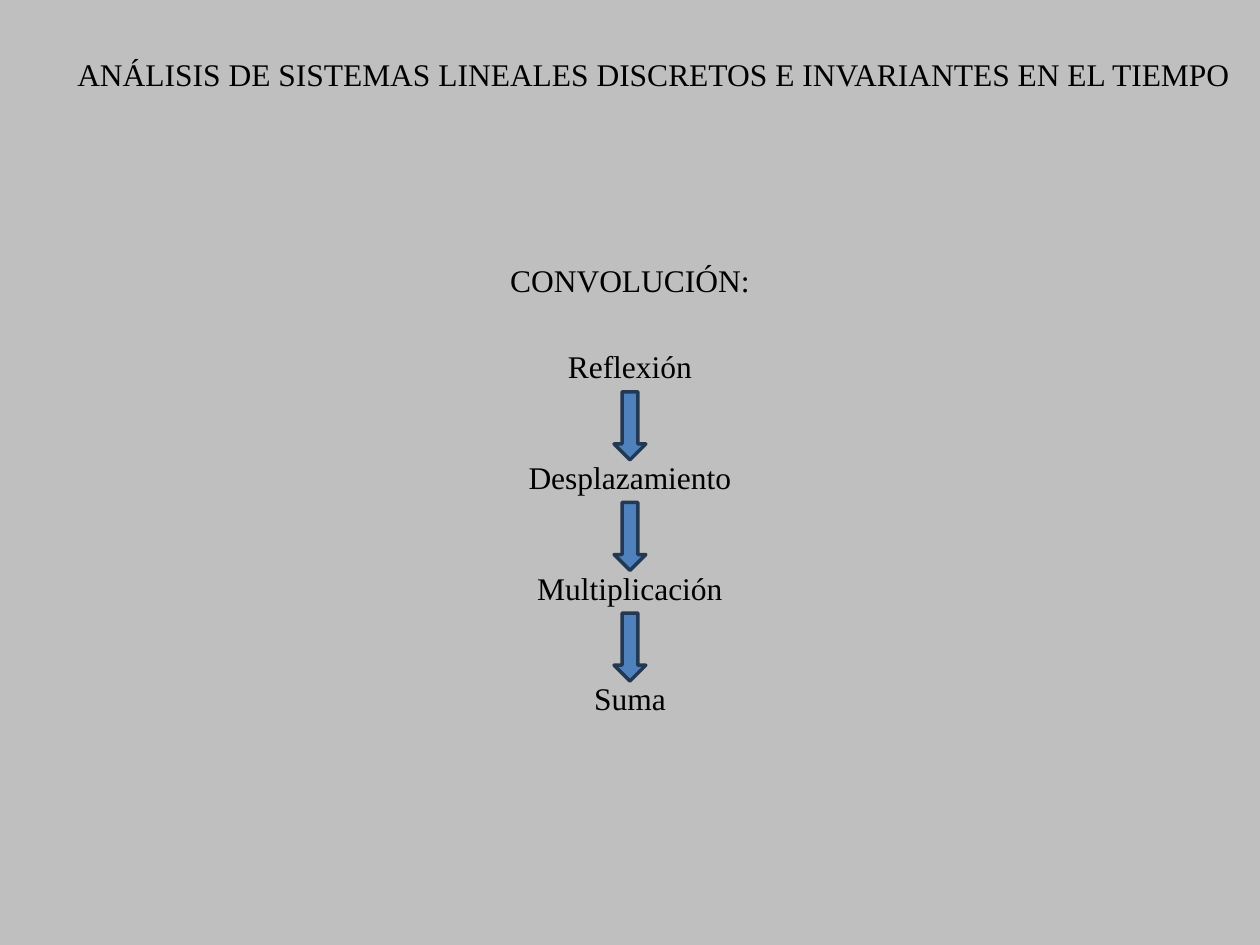
"""Build a slide listing the four steps of discrete convolution, joined by arrows."""
from pptx import Presentation
from pptx.dml.color import RGBColor
from pptx.enum.shapes import MSO_SHAPE
from pptx.enum.text import MSO_AUTO_SIZE, PP_ALIGN
from pptx.util import Cm, Pt

BACKGROUND = RGBColor(0xBF, 0xBF, 0xBF)
INK = RGBColor(0x00, 0x00, 0x00)
ARROW_FILL = RGBColor(0x4F, 0x81, 0xBD)
ARROW_EDGE = RGBColor(0x23, 0x39, 0x53)

SLIDE_WIDTH = 25.4
CENTER = SLIDE_WIDTH / 2
LINE_HEIGHT = 1.02
FIRST_STEP_TOP = 6.88
STEP_PITCH = 2.23
ARROW_WIDTH = 0.64
ARROW_HEIGHT = 1.37

presentation = Presentation()
presentation.slide_width = Cm(SLIDE_WIDTH)
presentation.slide_height = Cm(19.05)
slide = presentation.slides.add_slide(presentation.slide_layouts[6])
slide.background.fill.solid()
slide.background.fill.fore_color.rgb = BACKGROUND


def add_label(wording, center, top, width):
    label = slide.shapes.add_textbox(
        Cm(center - width / 2), Cm(top), Cm(width), Cm(LINE_HEIGHT))
    frame = label.text_frame
    frame.text = wording
    frame.word_wrap = False
    frame.auto_size = MSO_AUTO_SIZE.SHAPE_TO_FIT_TEXT
    paragraph = frame.paragraphs[0]
    paragraph.alignment = PP_ALIGN.CENTER
    font = paragraph.runs[0].font
    font.name = "Times New Roman"
    font.size = Pt(18)
    font.color.rgb = INK


add_label("ANÁLISIS DE SISTEMAS LINEALES DISCRETOS E INVARIANTES EN EL TIEMPO",
          13.18, 0.99, 23.98)
add_label("CONVOLUCIÓN:", CENTER, 5.13, 5.38)

steps = [("Reflexión", 3.05), ("Desplazamiento", 4.65),
         ("Multiplicación", 4.29), ("Suma", 1.98)]
step_tops = [FIRST_STEP_TOP + index * STEP_PITCH for index in range(len(steps))]

for (step, width), top in zip(steps, step_tops):
    add_label(step, CENTER, top, width)

for top in step_tops[:-1]:
    arrow = slide.shapes.add_shape(
        MSO_SHAPE.DOWN_ARROW, Cm(CENTER - ARROW_WIDTH / 2), Cm(top + LINE_HEIGHT),
        Cm(ARROW_WIDTH), Cm(ARROW_HEIGHT))
    arrow.shadow.inherit = False
    arrow.fill.solid()
    arrow.fill.fore_color.rgb = ARROW_FILL
    arrow.line.color.rgb = ARROW_EDGE
    arrow.line.width = Pt(2)

presentation.save("out.pptx")
